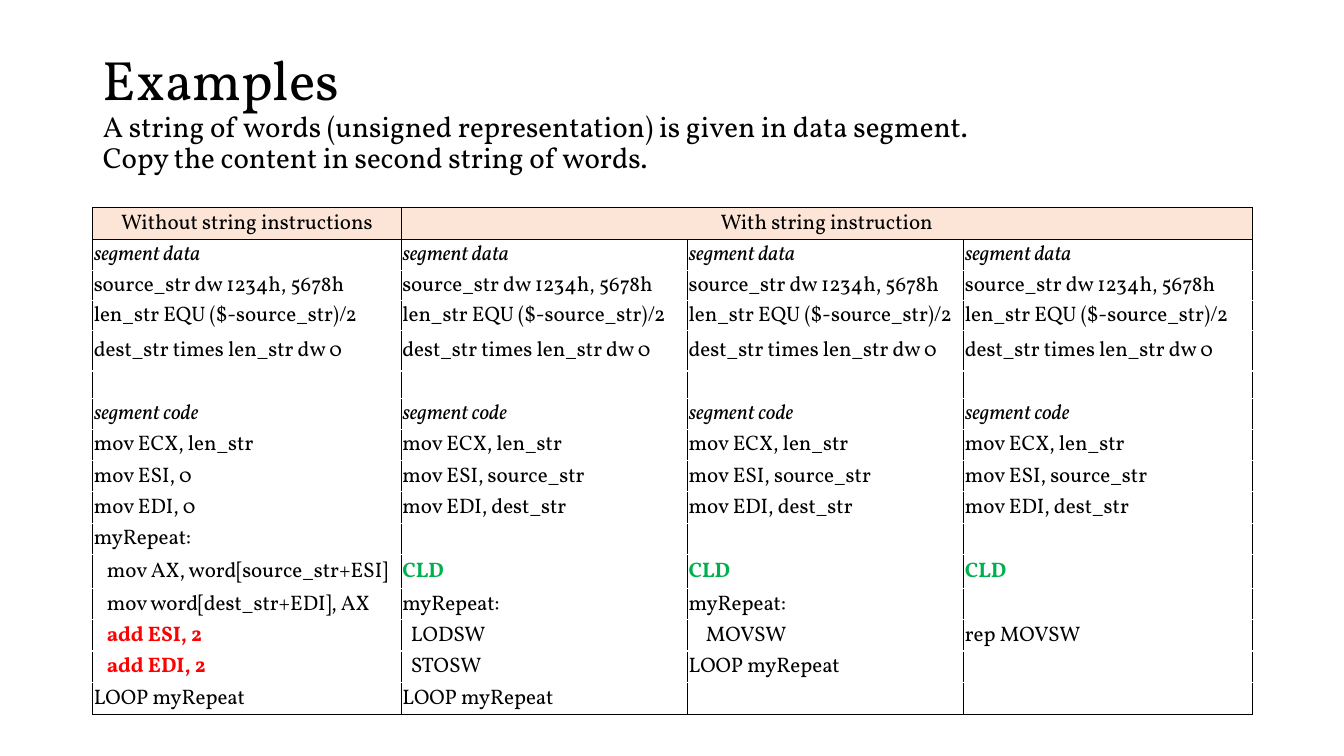
from copy import deepcopy

from lxml import etree
from pptx import Presentation
from pptx import util as u
from pptx.dml.color import RGBColor
from pptx.enum import text
from pptx.oxml.ns import qn

COLORS = {"ink": "000000", "header": "FCE4D6", "green": "00B050", "red": "FF0000"}
SPACE_WIDTH = 0.043


def write(para, words, size=15, color="ink", bold=False, italic=False):
    span = para.add_run()
    span.text = words
    font = span.font
    font.name, font.size = "Vollkorn", u.Pt(size)
    font.bold, font.italic = bold, italic
    font.color.rgb = RGBColor.from_string(COLORS[color])
    return span


def set_borders(cell, sides):
    props = cell._tc.get_or_add_tcPr()
    for index, side in enumerate(sides):
        line = etree.Element(qn(f"a:ln{side}"), w=str(u.Pt(1)))
        fill = etree.SubElement(line, qn("a:solidFill"))
        etree.SubElement(fill, qn("a:srgbClr"), val=COLORS["ink"])
        props.insert(index, line)


deck = Presentation()
deck.slide_width, deck.slide_height = u.Inches(13.33), u.Inches(7.5)
page = deck.slides.add_slide(deck.slide_layouts[5])

# Title with the task beneath it
title = page.shapes.title
title.left, title.top = u.Inches(0.92), u.Inches(0.4)
title.width, title.height = u.Inches(11.5), u.Inches(1.45)
frame = title.text_frame
frame.word_wrap = True
frame.auto_size = text.MSO_AUTO_SIZE.NONE
frame.vertical_anchor = text.MSO_ANCHOR.MIDDLE
para = frame.paragraphs[0]
para.alignment = text.PP_ALIGN.LEFT
para.line_spacing = 0.9
title_lines = [
    ("Examples", 39.6),
    ("A string of words (unsigned representation) is given in data segment.", 20.7),
    ("Copy the content in second string of words.", 20.7),
]
for index, (words, size) in enumerate(title_lines):
    if index:
        para.add_line_break()
        para._p[-1].append(deepcopy(span._r.rPr))
    span = write(para, words, size)

# Listings: shared opening, then the code of each column
data_lines = [
    "segment data",
    "source_str dw 1234h, 5678h",
    "len_str EQU ($-source_str)/2",
    "dest_str times len_str dw 0",
    "",
    "segment code",
    "mov ECX, len_str",
]
pointers = ["mov ESI, source_str", "mov EDI, dest_str", "", "CLD"]
listings = [
    data_lines + ["mov ESI, 0", "mov EDI, 0", "myRepeat:", "   mov AX, word[source_str+ESI]",
                  "   mov word[dest_str+EDI], AX", "   add ESI, 2", "   add EDI, 2", "LOOP myRepeat"],
    data_lines + pointers + ["myRepeat:", "  LODSW", "  STOSW", "LOOP myRepeat"],
    data_lines + pointers + ["myRepeat:", "    MOVSW", "LOOP myRepeat", ""],
    data_lines + pointers + ["", "rep MOVSW", "", ""],
]
column_widths = [3.06, 2.84, 2.74, 2.86]
row_heights = [0.32, 0.29, 0.29, 0.29, 0.4, 0.27] + [0.31] * 5 + [0.34] + [0.31] * 3 + [0.32]

# Table grid
table_frame = page.shapes.add_table(
    len(row_heights), len(column_widths),
    u.Inches(0.92), u.Inches(2.06), u.Inches(11.5), u.Inches(4.99))
table = table_frame.table
table.first_row = table.horz_banding = False
for column, width in zip(table.columns, column_widths):
    column.width = u.Inches(width)
for row, height in zip(table.rows, row_heights):
    row.height = u.Inches(height)
for cell in table.iter_cells():
    cell.margin_left = cell.margin_right = cell.margin_top = u.Inches(0.01)
    cell.margin_bottom = 0
    cell.vertical_anchor = text.MSO_ANCHOR.MIDDLE
    cell.fill.background()

# Header row
table.cell(0, 1).merge(table.cell(0, 3))
for column, heading in enumerate(["Without string instructions", "With string instruction"]):
    para = table.cell(0, column).text_frame.paragraphs[0]
    para.alignment = text.PP_ALIGN.CENTER
    write(para, heading)
for column in range(len(column_widths)):
    cell = table.cell(0, column)
    cell.fill.solid()
    cell.fill.fore_color.rgb = RGBColor.from_string(COLORS["header"])
    set_borders(cell, "LRTB")

# Code rows
for column, listing in enumerate(listings):
    for row, line in enumerate(listing, start=1):
        cell = table.cell(row, column)
        set_borders(cell, "LRB" if row == len(listing) else "LRT" if row == 1 else "LR")
        para = cell.text_frame.paragraphs[0]
        words = line.lstrip()
        if not words:
            para._p.get_or_add_endParaRPr().set("sz", "1000")
            continue
        cell.margin_left = u.Inches(0.01 + SPACE_WIDTH * (len(line) - len(words)))
        color = "green" if words == "CLD" else "red" if words.startswith("add") else "ink"
        write(para, words, color=color, bold=color != "ink", italic=words.startswith("segment"))

deck.save("out.pptx")
